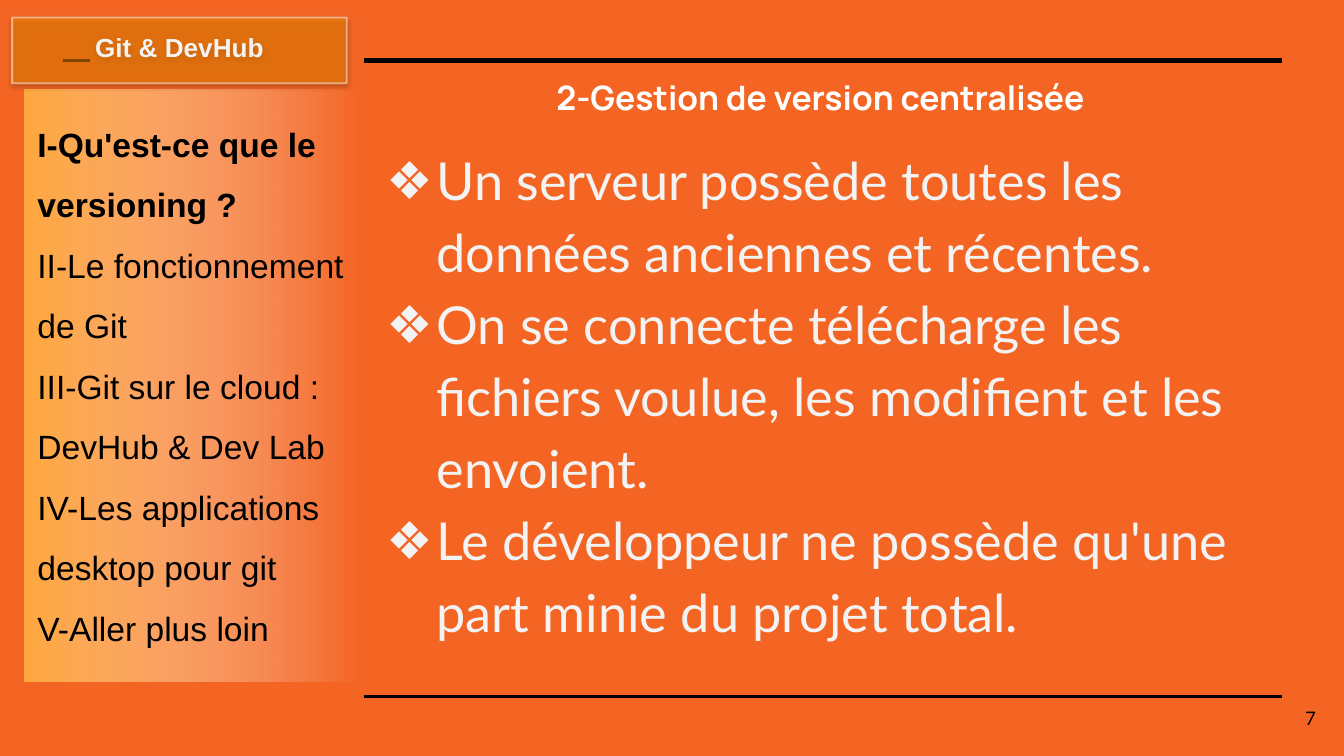
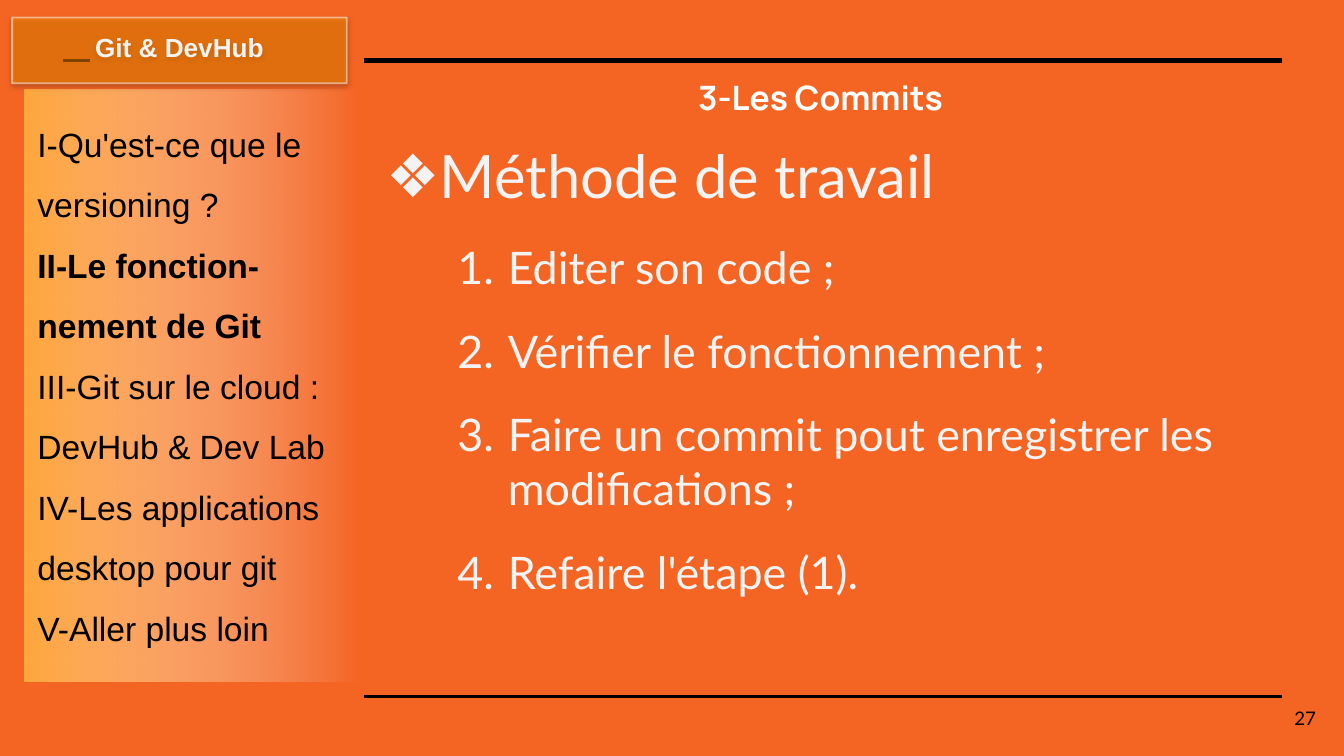
from lxml.etree import SubElement as Sub
from pptx import Presentation
from pptx.dml.color import RGBColor as Rgb
from pptx.enum.shapes import MSO_CONNECTOR as Connector, MSO_SHAPE as Preset
from pptx.enum.text import MSO_ANCHOR as Anchor, MSO_AUTO_SIZE as AutoSize, PP_ALIGN as Align
from pptx.oxml.ns import qn
from pptx.util import Pt

COLORS = {"background": "F46524", "rule": "000000", "title": "FFFFFF", "body": "F3F3F3",
          "panel": "FFA83E", "fade": "FFFFFF", "header": "FB8C00", "border": "FFFFFF"}
TITLE_FONT = dict(name="Manrope", size=Pt(18), bold=True)
HEADER_FONT = dict(name="Arial", size=Pt(14), bold=True)
AGENDA_FONT = dict(name="Arial", size=Pt(18))
BODY_FONT = dict(name="Lato")
NUMBER_FONT = dict(name="Lato", size=Pt(10))
FRAME = dict(word_wrap=True, auto_size=AutoSize.NONE, vertical_anchor=Anchor.TOP,
             margin_left=Pt(7.2), margin_right=Pt(7.2), margin_top=Pt(7.2), margin_bottom=Pt(7.2))
RULES = [(195.12, 686.88, 32.4, 3), (195.12, 686.88, 373, 1.5), (33.84, 48.24, 32.4, 1.5)]
AGENDA = ["I-Qu'est-ce que le versioning ?", "II-Le fonctionnement de Git",
          "III-Git sur le cloud : DevHub & Dev Lab", "IV-Les applications desktop pour git",
          "V-Aller plus loin"]


def rgb(color):
    """Return the named colour."""
    return Rgb.from_string(COLORS[color])


def apply(target, values):
    """Set each attribute listed in a dict."""
    for key, value in values.items():
        setattr(target, key, value)


def box(left, top, width, height):
    """Return a position and size in points."""
    return Pt(left), Pt(top), Pt(width), Pt(height)


def set_alpha(color_element, percent):
    """Make one colour partly transparent."""
    Sub(color_element, qn("a:alpha"), val=str(percent * 1000))


def color_elements(shape):
    """List the colour elements of a shape's fill and line."""
    return list(shape._element.spPr.iter(qn("a:srgbClr")))


def write(paragraph, text, font, color, **layout):
    """Write one formatted run in a paragraph."""
    apply(paragraph, layout)
    run = paragraph.add_run()
    run.text = text
    apply(run.font, font)
    run.font.color.rgb = rgb(color)


def paragraphs(frame, count):
    """Yield a frame's first paragraph, then new ones."""
    yield frame.paragraphs[0]
    for _ in range(count - 1):
        yield frame.add_paragraph()


def add_bullet(paragraph, margin, numbered):
    """Give a paragraph a hanging diamond or number."""
    props = paragraph._p.get_or_add_pPr()
    props.set("marL", str(Pt(margin)))
    props.set("indent", str(Pt(-27)))
    Sub(Sub(props, qn("a:buClr")), qn("a:srgbClr"), val=COLORS["body"])
    Sub(props, qn("a:buFont"), typeface="Lato")
    if numbered:
        Sub(props, qn("a:buAutoNum"), type="arabicPeriod")
    else:
        Sub(props, qn("a:buChar"), char="❖")


def add_rules(slide):
    """Draw the black horizontal rules."""
    for start, end, y, weight in RULES:
        rule = slide.shapes.add_connector(Connector.STRAIGHT, Pt(start), Pt(y), Pt(end), Pt(y))
        rule.line.color.rgb = rgb("rule")
        rule.line.width = Pt(weight)
        Sub(rule._element.spPr, qn("a:effectLst"))


def add_title(slide, text):
    """Place and fill the slide title."""
    title = slide.shapes.title
    apply(title, dict(zip(("left", "top", "width", "height"), box(192.24, 33.84, 494.64, 33.12))))
    apply(title.text_frame, FRAME)
    write(title.text_frame.paragraphs[0], text, TITLE_FONT, "title", alignment=Align.CENTER)


def add_body(slide, items, spacing):
    """List (text, size, numbered) items in the main area."""
    frame = slide.shapes.add_textbox(*box(190.8, 66.96, 497.52, 294.48)).text_frame
    apply(frame, FRAME)
    for paragraph, (text, size, numbered) in zip(paragraphs(frame, len(items)), items):
        add_bullet(paragraph, 74.16 if numbered else 36, numbered)
        write(paragraph, text, {**BODY_FONT, "size": Pt(size)}, "body", line_spacing=spacing,
              level=int(numbered), space_before=Pt(16 if numbered else 0))


def add_agenda(slide, agenda, current):
    """Draw the fading agenda panel with the current part in bold."""
    panel = slide.shapes.add_shape(Preset.RECTANGLE, *box(12.96, 48.24, 179.28, 316.8))
    panel.shadow.inherit = False
    panel.line.fill.background()
    panel.fill.gradient()
    panel.fill.gradient_angle = 0
    for stop, color in zip(panel.fill.gradient_stops, ("panel", "fade")):
        stop.color.rgb = rgb(color)
    set_alpha(color_elements(panel)[-1], 0)
    apply(panel.text_frame, FRAME)
    for index, paragraph in enumerate(paragraphs(panel.text_frame, len(agenda))):
        write(paragraph, agenda[index], {**AGENDA_FONT, "bold": index == current}, "rule",
              alignment=Align.LEFT, line_spacing=1.5)


def add_header(slide):
    """Draw the translucent course header with its shadow."""
    header = slide.shapes.add_shape(Preset.RECTANGLE, *box(6.48, 9.36, 179.28, 35.28))
    header.fill.solid()
    header.fill.fore_color.rgb = rgb("header")
    header.line.color.rgb = rgb("border")
    header.line.width = Pt(1)
    for element in color_elements(header):
        set_alpha(element, 50)
    header.shadow.inherit = False
    effects = header._element.spPr.find(qn("a:effectLst"))
    shadow = Sub(effects, qn("a:outerShdw"), blurRad=str(Pt(3.1)), dist=str(Pt(1.6)),
                 dir="5400000", rotWithShape="0")
    set_alpha(Sub(shadow, qn("a:srgbClr"), val=COLORS["rule"]), 38)
    apply(header.text_frame, FRAME)
    write(header.text_frame.paragraphs[0], "Git & DevHub", HEADER_FONT, "body",
          alignment=Align.CENTER)


def add_number(slide, number):
    """Write the page number at the bottom right."""
    frame = slide.shapes.add_textbox(*box(668.88, 369.36, 43.2, 30.96)).text_frame
    apply(frame, {**FRAME, "vertical_anchor": Anchor.MIDDLE})
    write(frame.paragraphs[0], str(number), NUMBER_FONT, "rule", alignment=Align.RIGHT)


def add_lesson(deck, title, items, spacing, agenda, current, number):
    """Build one lesson slide."""
    slide = deck.slides.add_slide(deck.slide_layouts[5])
    add_rules(slide)
    add_title(slide, title)
    add_body(slide, items, spacing)
    add_agenda(slide, agenda, current)
    add_header(slide)
    add_number(slide, number)


def main():
    """Build and save the deck."""
    deck = Presentation()
    apply(deck, dict(slide_width=Pt(720), slide_height=Pt(405)))
    background = deck.slide_master.background.fill
    background.solid()
    background.fore_color.rgb = rgb("background")

    centralised = ["Un serveur possède toutes les données anciennes et récentes.",
                   "On se connecte télécharge les fichiers voulue, les modifient et les envoient.",
                   "Le développeur ne possède qu'une part minie du projet total."]
    add_lesson(deck, "2-Gestion de version centralisée",
               [(text, 28, False) for text in centralised], 1.15, AGENDA, 0, 7)

    steps = ["Editer son code ;", "Vérifier le fonctionnement ;",
             "Faire un commit pout enregistrer les modifications ;", "Refaire l'étape (1)."]
    hyphenated = [AGENDA[0], "II-Le fonction-nement de Git", *AGENDA[2:]]
    add_lesson(deck, "3-Les Commits",
               [("Méthode de travail", 32, False)] + [(step, 24, True) for step in steps],
               1.0, hyphenated, 1, 27)
    deck.save("out.pptx")


if __name__ == "__main__":
    main()
